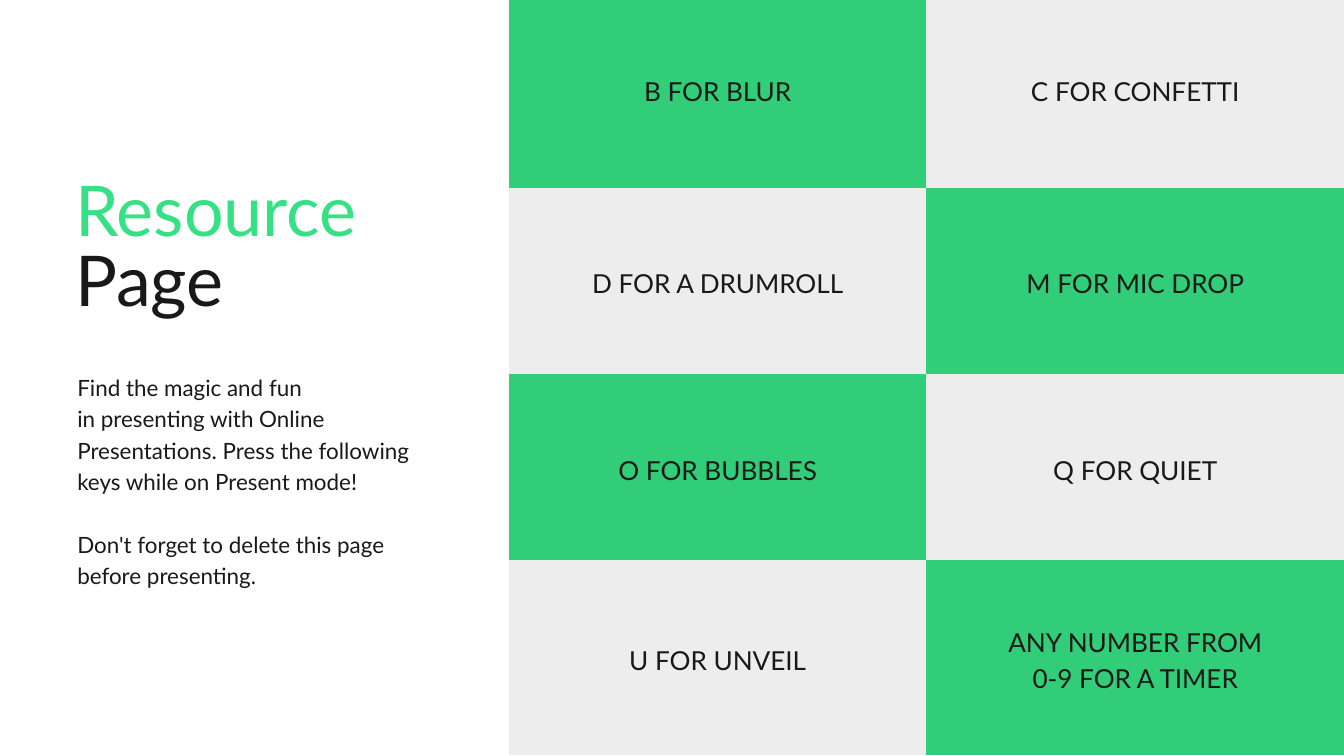
from pptx import Presentation
from pptx import util as u
from pptx.dml.color import RGBColor
from pptx.enum import text
from pptx.oxml.ns import qn
from lxml import etree

INK = RGBColor(0x19, 0x19, 0x19)
GREEN = RGBColor(0x31, 0xCD, 0x79)
BRIGHT_GREEN = RGBColor(0x35, 0xE1, 0x84)
GREY = RGBColor(0xED, 0xED, 0xED)
FONT = "Lato"

SHORTCUTS = [
    [["B FOR BLUR"], ["C FOR CONFETTI"]],
    [["D FOR A DRUMROLL"], ["M FOR MIC DROP"]],
    [["O FOR BUBBLES"], ["Q FOR QUIET"]],
    [["U FOR UNVEIL"], ["ANY NUMBER FROM", "0-9 FOR A TIMER"]],
]
ROW_HEIGHTS = [212.4, 199.4, 199.4, 208.8]
COLUMN_WIDTH = 447.4


def set_attributes(target, values):
    for name, value in values.items():
        setattr(target, name, value)


def write_paragraphs(frame, lines, size, spacing, align=text.PP_ALIGN.LEFT):
    """Fill a text frame; each line is (words, colour, space before)."""
    for index, (words, colour, before) in enumerate(lines):
        paragraph = frame.paragraphs[0] if index == 0 else frame.add_paragraph()
        set_attributes(paragraph, {
            "alignment": align,
            "line_spacing": u.Pt(spacing),
            "space_before": u.Pt(before),
        })
        run = paragraph.add_run()
        run.text = words
        set_attributes(run.font, {"name": FONT, "size": u.Pt(size)})
        run.font.color.rgb = colour


def add_text(slide, left, top, width, height, lines, size, spacing):
    box = slide.shapes.add_textbox(u.Pt(left), u.Pt(top), u.Pt(width), u.Pt(height))
    frame = box.text_frame
    set_attributes(frame, {
        "word_wrap": True,
        "margin_left": 0, "margin_right": 0,
        "margin_top": 0, "margin_bottom": 0,
    })
    write_paragraphs(frame, lines, size, spacing)


def remove_borders(cell):
    properties = cell._tc.get_or_add_tcPr()
    for index, side in enumerate(("a:lnL", "a:lnR", "a:lnT", "a:lnB")):
        line = etree.Element(qn(side), w="0")
        etree.SubElement(line, qn("a:noFill"))
        properties.insert(index, line)


def format_cell(cell, lines, fill):
    cell.fill.solid()
    cell.fill.fore_color.rgb = fill
    margin = u.Pt(15)
    set_attributes(cell, {
        "vertical_anchor": text.MSO_ANCHOR.MIDDLE,
        "margin_left": margin, "margin_right": margin,
        "margin_top": margin, "margin_bottom": margin,
    })
    write_paragraphs(cell.text_frame, [(line, INK, 0) for line in lines],
                     28, 39.2, text.PP_ALIGN.CENTER)
    remove_borders(cell)


def add_shortcut_table(slide, left, top):
    rows, columns = len(SHORTCUTS), len(SHORTCUTS[0])
    table = slide.shapes.add_table(
        rows, columns, u.Pt(left), u.Pt(top),
        u.Pt(columns * COLUMN_WIDTH), u.Pt(sum(ROW_HEIGHTS))).table
    set_attributes(table, {"first_row": False, "horz_banding": False})
    for column in table.columns:
        column.width = u.Pt(COLUMN_WIDTH)
    for r, (height, shortcuts) in enumerate(zip(ROW_HEIGHTS, SHORTCUTS)):
        table.rows[r].height = u.Pt(height)
        for c, lines in enumerate(shortcuts):
            fill = GREY if (r + c) % 2 else GREEN
            format_cell(table.cell(r, c), lines, fill)


def main():
    presentation = Presentation()
    set_attributes(presentation, {"slide_width": u.Pt(1440), "slide_height": u.Pt(810)})
    slide = presentation.slides.add_slide(presentation.slide_layouts[6])

    add_shortcut_table(slide, 545.2, -10.8)
    add_text(slide, 82.8, 396, 387.4, 229, [
        ("Find the magic and fun", INK, 0),
        ("in presenting with Online Presentations. "
         "Press the following keys while on Present mode!", INK, 0),
        ("Don't forget to delete this page before presenting.", INK, 33.6),
    ], 24, 33.6)
    add_text(slide, 80.6, 193.7, 387.4, 156.2,
             [("Resource", BRIGHT_GREEN, 0), ("Page", INK, 0)], 75, 75)

    presentation.save("out.pptx")


if __name__ == "__main__":
    main()
